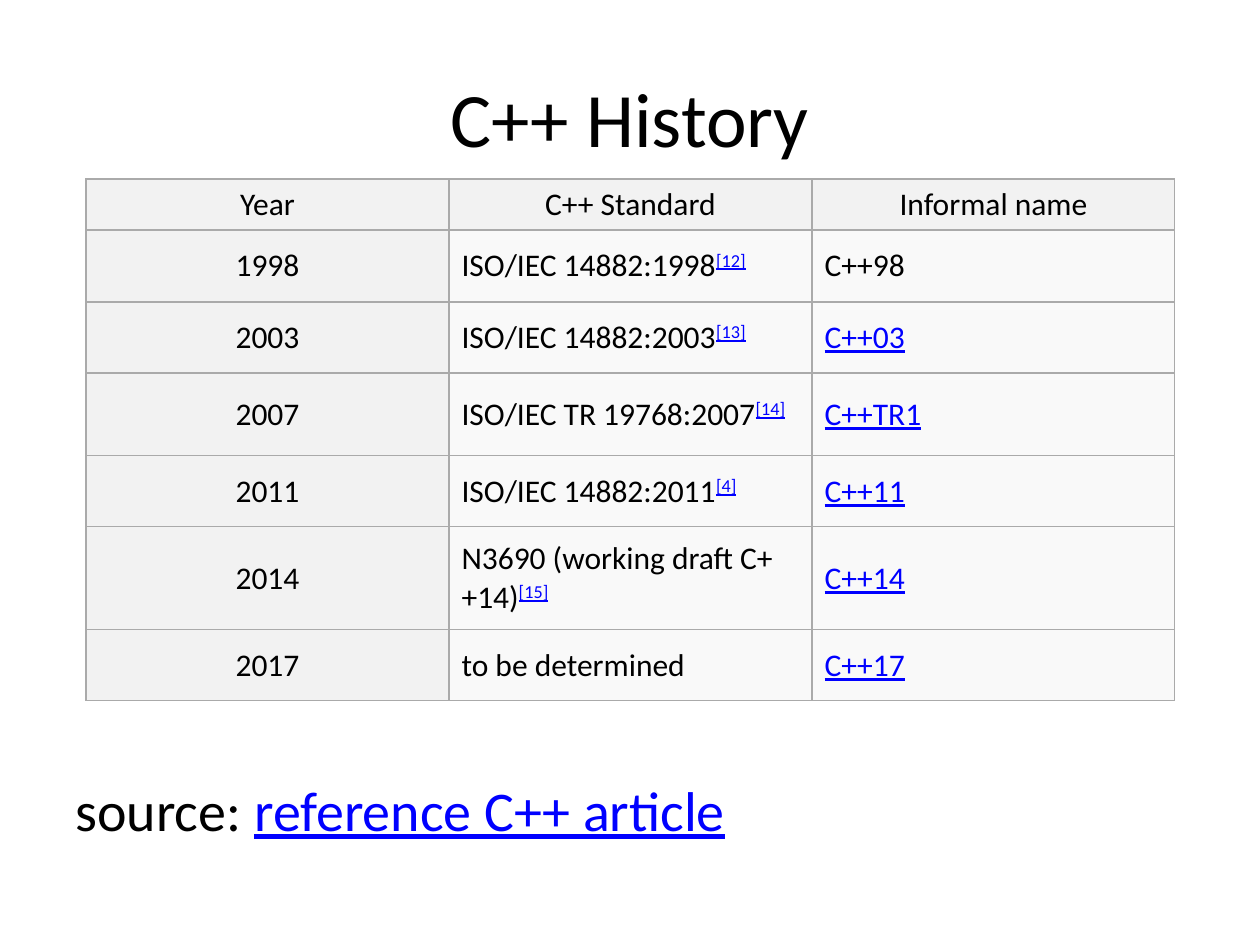
from dataclasses import dataclass

import lxml.etree
import pptx
import pptx.dml.color
import pptx.enum.text
import pptx.oxml.ns
import pptx.util

EMU_PER_PX = 914400 / 126
BLACK, LINK = "000000", "0000FF"
HEAD_FILL, BODY_FILL, BORDER = "F2F2F2", "F9F9F9", "AAAAAA"
CENTER = pptx.enum.text.PP_ALIGN.CENTER
LEFT = pptx.enum.text.PP_ALIGN.LEFT
MIDDLE = pptx.enum.text.MSO_ANCHOR.MIDDLE
TOP = pptx.enum.text.MSO_ANCHOR.TOP


@dataclass
class Piece:
    text: str
    linked: bool = False
    raised: bool = False


@dataclass
class Release:
    year: str
    standard: str
    reference: str
    name: str
    height: int
    name_linked: bool = True


HEADINGS = ("Year", "C++ Standard", "Informal name")
HEADING_HEIGHT = 51
COLUMN_WIDTH = 363
RELEASES = [
    Release("1998", "ISO/IEC 14882:1998", "[12]", "C++98", 72, False),
    Release("2003", "ISO/IEC 14882:2003", "[13]", "C++03", 71),
    Release("2007", "ISO/IEC TR 19768:2007", "[14]", "C++TR1", 83),
    Release("2011", "ISO/IEC 14882:2011", "[4]", "C++11", 71),
    Release("2014", "N3690 (working draft C++14)", "[15]", "C++14", 103),
    Release("2017", "to be determined", "", "C++17", 71),
]


def px(length: int) -> int:
    return round(length * EMU_PER_PX)


def color(value: str) -> pptx.dml.color.RGBColor:
    return pptx.dml.color.RGBColor.from_string(value)


def write(frame, pieces: list[Piece], size: int, align=LEFT) -> None:
    paragraph = frame.paragraphs[0]
    paragraph.alignment = align
    paragraph.font.name = "Calibri"
    paragraph.font.size = pptx.util.Pt(size)
    paragraph.font.color.rgb = color(BLACK)
    for piece in pieces:
        run = paragraph.add_run()
        run.text = piece.text
        if piece.linked:
            run.font.color.rgb = color(LINK)
            run.font.underline = True
        if piece.raised:
            run.font._element.set("baseline", "30000")


def add_text(slide, left: int, top: int, width: int, height: int,
             pieces: list[Piece], size: int, align=LEFT, anchor=TOP) -> None:
    box = slide.shapes.add_textbox(px(left), px(top), px(width), px(height))
    box.text_frame.word_wrap = True
    box.text_frame.vertical_anchor = anchor
    write(box.text_frame, pieces, size, align)


def add_borders(cell) -> None:
    properties = cell._tc.get_or_add_tcPr()
    qn = pptx.oxml.ns.qn
    for side in ("lnL", "lnR", "lnT", "lnB"):
        line = lxml.etree.SubElement(properties, qn(f"a:{side}"), w=str(pptx.util.Pt(0.75)))
        fill = lxml.etree.SubElement(line, qn("a:solidFill"))
        lxml.etree.SubElement(fill, qn("a:srgbClr"), val=BORDER)


def fill_cell(cell, pieces: list[Piece], heading: bool, centered: bool) -> None:
    cell.vertical_anchor = MIDDLE
    add_borders(cell)
    cell.fill.solid()
    cell.fill.fore_color.rgb = color(HEAD_FILL if heading else BODY_FILL)
    write(cell.text_frame, pieces, 18, CENTER if centered else LEFT)


def release_cells(release: Release) -> list[list[Piece]]:
    standard = [Piece(release.standard)]
    if release.reference:
        standard.append(Piece(release.reference, linked=True, raised=True))
    return [[Piece(release.year)], standard, [Piece(release.name, release.name_linked)]]


def add_history(slide, left: int, top: int) -> None:
    heights = [HEADING_HEIGHT] + [release.height for release in RELEASES]
    rows = [[[Piece(heading)] for heading in HEADINGS]]
    rows += [release_cells(release) for release in RELEASES]
    history = slide.shapes.add_table(
        len(rows), len(HEADINGS), px(left), px(top),
        px(COLUMN_WIDTH * len(HEADINGS)), px(sum(heights))).table
    history.first_row = False
    history.horz_banding = False
    for column in history.columns:
        column.width = px(COLUMN_WIDTH)
    for r, (cells, height) in enumerate(zip(rows, heights)):
        history.rows[r].height = px(height)
        for c, pieces in enumerate(cells):
            heading = r == 0 or c == 0
            fill_cell(history.cell(r, c), pieces, heading, heading)


def main() -> None:
    deck = pptx.Presentation()
    deck.slide_width, deck.slide_height = px(1260), px(945)
    slide = deck.slides.add_slide(deck.slide_layouts[6])
    add_text(slide, 63, 38, 1134, 158, [Piece("C++ History")], 44, CENTER, MIDDLE)
    add_text(slide, 63, 769, 1134, 73,
             [Piece("source: "), Piece("reference C++ article", linked=True)], 32)
    add_history(slide, 86, 179)
    deck.save("out.pptx")


if __name__ == "__main__":
    main()
